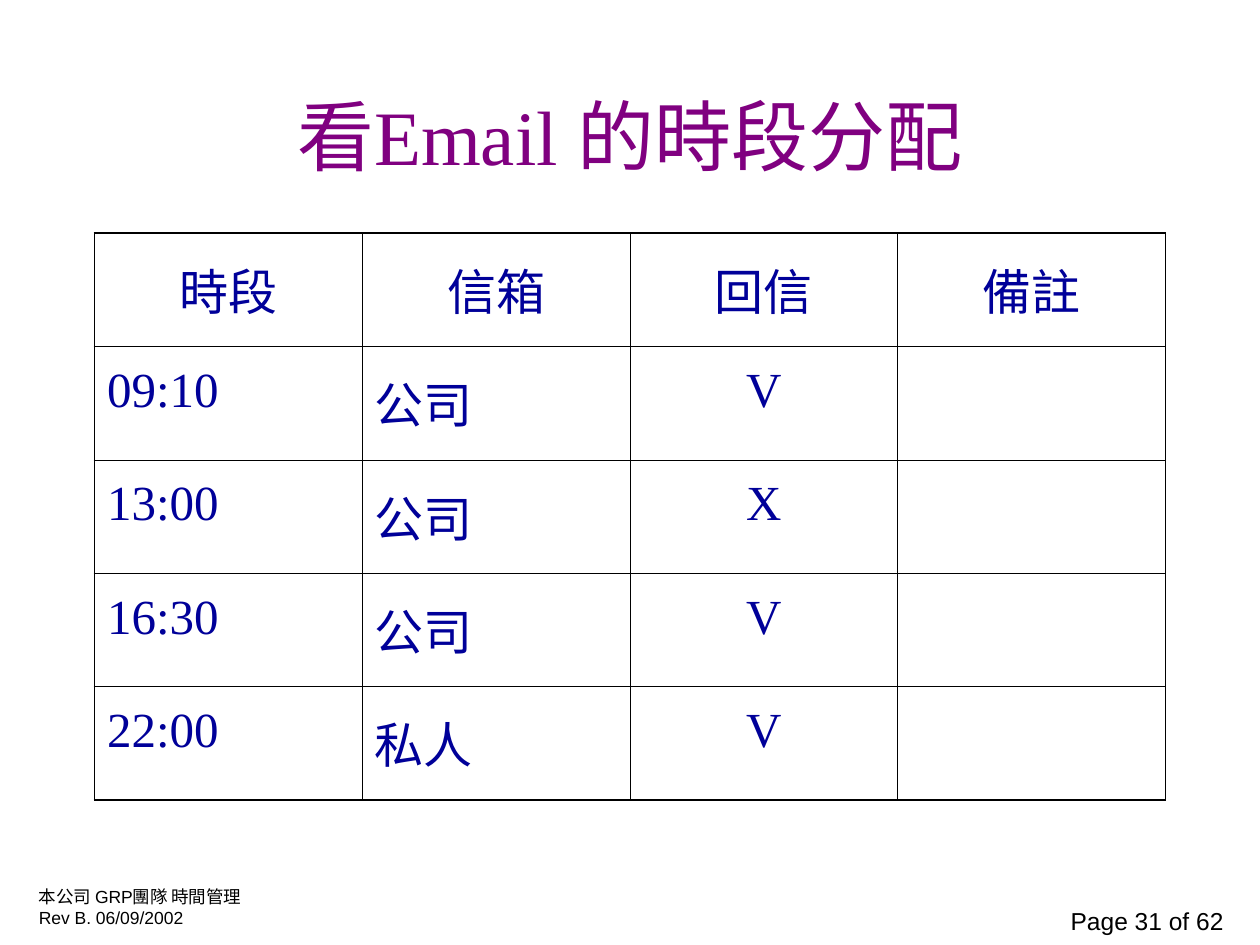
import pptx
import pptx.util
import pptx.dml.color
import pptx.enum.text
import pptx.oxml
import pptx.oxml.ns

ALIGN = pptx.enum.text.PP_ALIGN
ANCHOR = pptx.enum.text.MSO_ANCHOR
COLORS = {"title": "800080", "table": "000099", "footer": "000000", "border": "000000"}
FORMATS = {
    "title": {"size": pptx.util.Pt(44), "name": "Times New Roman"},
    "table": {"size": pptx.util.Pt(28), "name": "Times New Roman"},
    "footer": {"size": pptx.util.Pt(10), "name": "Arial"},
    "page": {"size": pptx.util.Pt(14), "name": "Arial"},
}
SCHEDULE = [
    ["時段", "信箱", "回信", "備註"],
    ["09:10", "公司", "V", ""],
    ["13:00", "公司", "X", ""],
    ["16:30", "公司", "V", ""],
    ["22:00", "私人", "V", ""],
]


class Deck:
    COLS, ROWS = 40, 30
    THIN, THICK = 0.45, 1.08

    def __init__(self, width, height):
        self.prs = pptx.Presentation()
        self.prs.slide_width = pptx.util.Inches(width)
        self.prs.slide_height = pptx.util.Inches(height)
        self.s = self.prs.slides.add_slide(self.prs.slide_layouts[6])

    def box(self, col, row, cols, rows):
        dx = self.prs.slide_width / self.COLS
        dy = self.prs.slide_height / self.ROWS
        return [round(v) for v in (col * dx, row * dy, cols * dx, rows * dy)]

    def paragraph(self, p, text, style, color, **layout):
        for key, value in layout.items():
            setattr(p, key, value)
        r = p.add_run()
        r.text = text
        for key, value in FORMATS[style].items():
            setattr(r.font, key, value)
        r.font.color.rgb = pptx.dml.color.RGBColor.from_string(COLORS[color])

    def text(self, grid, lines, style, color, align=ALIGN.LEFT, anchor=ANCHOR.TOP, wrap=False):
        tf = self.s.shapes.add_textbox(*self.box(*grid)).text_frame
        tf.word_wrap = wrap
        tf.vertical_anchor = anchor
        for i, line in enumerate(lines):
            p = tf.add_paragraph() if i else tf.paragraphs[0]
            self.paragraph(p, line, style, color, alignment=align)

    def border(self, cell, widths):
        tc_pr = cell._tc.get_or_add_tcPr()
        for i, (side, width) in enumerate(widths.items()):
            tc_pr.insert(i, pptx.oxml.parse_xml(
                f'<a:ln{side} {pptx.oxml.ns.nsdecls("a")} w="{pptx.util.Pt(width)}">'
                f'<a:solidFill><a:srgbClr val="{COLORS["border"]}"/></a:solidFill></a:ln{side}>'))

    def table(self, grid, data, centred):
        last_row, last_col = len(data) - 1, len(data[0]) - 1
        tbl = self.s.shapes.add_table(last_row + 1, last_col + 1, *self.box(*grid)).table
        tbl.first_row = tbl.horz_banding = False
        for i, values in enumerate(data):
            for j, value in enumerate(values):
                cell = tbl.cell(i, j)
                cell.fill.background()
                edges = {"L": j == 0, "R": j == last_col, "T": i == 0, "B": i == last_row}
                self.border(cell, {k: self.THICK if e else self.THIN for k, e in edges.items()})
                if value:
                    align = ALIGN.CENTER if i == 0 or j in centred else ALIGN.LEFT
                    self.paragraph(cell.text_frame.paragraphs[0], value, "table", "table",
                                   alignment=align, line_spacing=1.2)


def main():
    deck = Deck(10, 7.5)
    deck.text((33.56, 28.56, 5.68, 1.32), ["Page 31 of 62"], "page", "footer", ALIGN.RIGHT)
    deck.text((0.84, 27.92, 7.52, 1.76), ["本公司 GRP團隊 時間管理", "Rev B. 06/09/2002"],
              "footer", "footer")
    deck.text((3, 1.76, 34, 5), ["看Email 的時段分配"], "title", "title",
              ALIGN.CENTER, ANCHOR.MIDDLE, True)
    deck.table((3, 7.4, 34, 18), SCHEDULE, centred={2})
    deck.prs.save("out.pptx")


if __name__ == "__main__":
    main()
